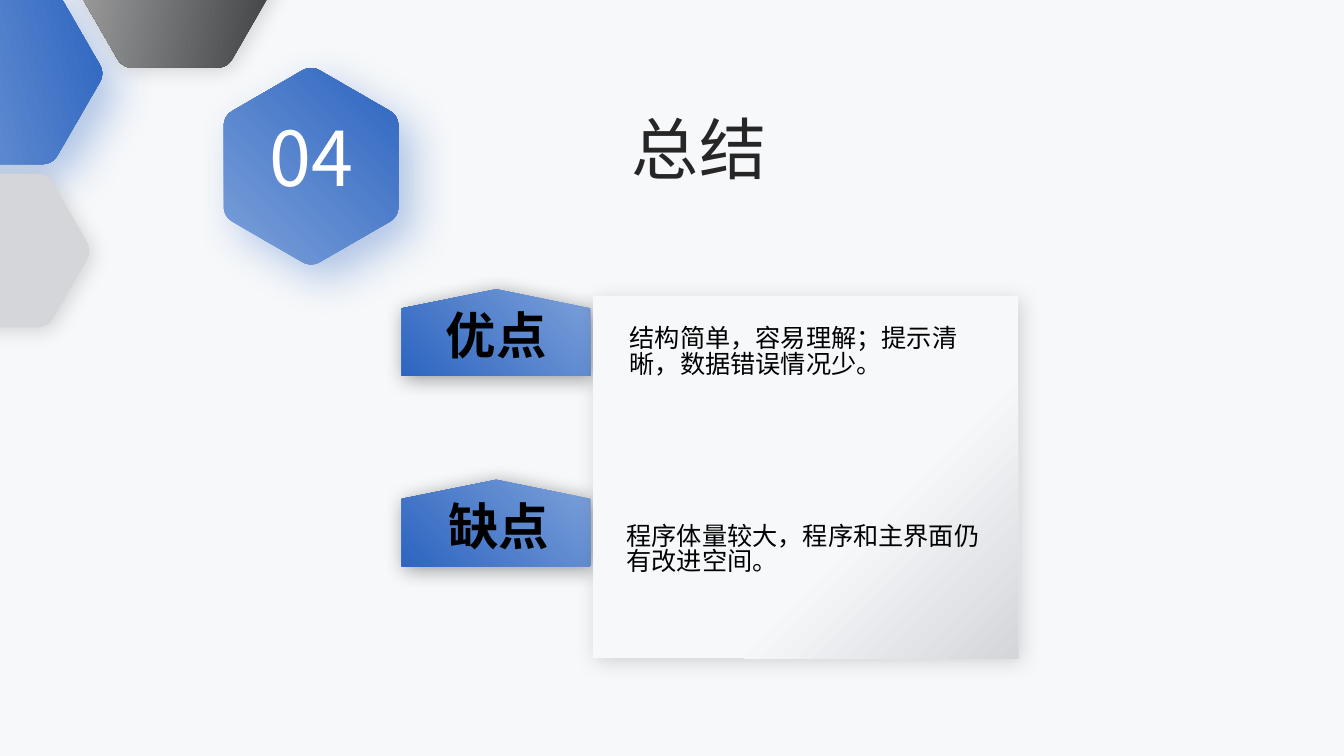
import math
from typing import NamedTuple

from lxml import etree
from pptx import Presentation
from pptx.dml.color import RGBColor
from pptx.enum.shapes import MSO_SHAPE
from pptx.enum.text import MSO_ANCHOR, MSO_AUTO_SIZE, PP_ALIGN
from pptx.oxml.ns import qn
from pptx.util import Cm, Pt

RECTANGLE = MSO_SHAPE.RECTANGLE
TOP = MSO_ANCHOR.TOP
NO_AUTOFIT = MSO_AUTO_SIZE.NONE
LEFT, CENTER = PP_ALIGN.LEFT, PP_ALIGN.CENTER

HEADING_FONT = "Noto Sans CJK SC"
BODY_FONT = "Noto Sans CJK JP"
PAPER, SILVER = "F6F8FA", "D5D6DA"
LIGHT_BLUE, BLUE = "7DA1DA", "2D65C0"
CORNER_CUT = 0.26  # cm trimmed from each side of a hexagon corner
CORNER_STEPS = 6
LINE_SPACING = 0.84


class Gradient(NamedTuple):
    start: str
    end: str
    clockwise: int
    start_at: float = 0.0


class Shadow(NamedTuple):
    color: str
    alpha: int
    blur: int
    distance: int


class Hexagon(NamedTuple):
    x: float
    y: float
    radius: float
    turn: int
    fill: Gradient | str
    shadow: Shadow


class Topic(NamedTuple):
    label: str
    tag_top: float
    label_box: tuple[float, float, float, float]
    detail: str
    detail_box: tuple[float, float, float, float]


SOFT = Shadow("000000", 15, 15, 3)
STRONG = Shadow("000000", 40, 15, 3)
GLOW = Shadow(BLUE, 35, 30, 15)

HEXAGONS = [
    Hexagon(0, 1.85, 2.64, 0, Gradient(LIGHT_BLUE, BLUE, 345), GLOW),
    Hexagon(0.09, 6.32, 2.23, 0, SILVER, SOFT),
    Hexagon(4.41, -0.58, 2.64, 0, Gradient("3D3F41", "A5A5A5", 190), SOFT),
    Hexagon(7.84, 4.19, 2.54, 30, Gradient(LIGHT_BLUE, BLUE, 315), GLOW),
]
TOPICS = [
    Topic("优点", 7.29, (10.62, 7.7, 3.78, 1.8),
          "结构简单，容易理解；提示清晰，数据错误情况少。", (15.62, 8.08, 9.37, 1.8)),
    Topic("缺点", 12.09, (10.92, 12.5, 3.3, 1.8),
          "程序体量较大，程序和主界面仍有改进空间。", (15.54, 13.06, 9.5, 1.8)),
]
TAG_LEFT, TAG_WIDTH, TAG_HEIGHT, TAG_SHOULDER = 10.13, 4.75, 2.18, 0.48


def rgb(color: str) -> RGBColor:
    return RGBColor.from_string(color)


def style(shape, fill: Gradient | str, shadow: Shadow) -> None:
    if isinstance(fill, Gradient):
        shape.fill.gradient()
        shape.fill.gradient_angle = (360 - fill.clockwise) % 360
        first, last = shape.fill.gradient_stops
        first.color.rgb, first.position = rgb(fill.start), fill.start_at
        last.color.rgb, last.position = rgb(fill.end), 1.0
    else:
        shape.fill.solid()
        shape.fill.fore_color.rgb = rgb(fill)
    shape.line.fill.background()
    shape.shadow.inherit = False
    effects = shape._element.spPr.find(qn("a:effectLst"))
    outer = etree.SubElement(
        effects, qn("a:outerShdw"), blurRad=str(Pt(shadow.blur)),
        dist=str(Pt(shadow.distance)), dir=str(45 * 60000),
        algn="tl", rotWithShape="0")
    color = etree.SubElement(outer, qn("a:srgbClr"), val=shadow.color)
    etree.SubElement(color, qn("a:alpha"), val=str(shadow.alpha * 1000))


def add_outline(slide, points: list[tuple[float, float]],
                fill: Gradient | str, shadow: Shadow) -> None:
    corners = [(Cm(x), Cm(y)) for x, y in points]
    builder = slide.shapes.build_freeform(*corners[0])
    builder.add_line_segments(corners[1:], close=True)
    style(builder.convert_to_shape(), fill, shadow)


def rounded_hexagon(hexagon: Hexagon) -> list[tuple[float, float]]:
    angles = [math.radians(hexagon.turn + 60 * i) for i in range(6)]
    corners = [(hexagon.x + hexagon.radius * math.cos(a),
                hexagon.y + hexagon.radius * math.sin(a)) for a in angles]
    cut = CORNER_CUT / hexagon.radius  # side length equals the radius
    points = []
    for i, corner in enumerate(corners):
        before, after = corners[i - 1], corners[(i + 1) % 6]
        for step in range(CORNER_STEPS + 1):
            t = step / CORNER_STEPS
            back, ahead = cut * (1 - t) ** 2, cut * t ** 2
            x, y = (c + back * (b - c) + ahead * (a - c)
                    for b, c, a in zip(before, corner, after))
            points.append((x, y))
    return points


def write_text(shape, text: str, *, size: int, font: str, color: str = "000000",
               bold: bool = False, align: PP_ALIGN = LEFT) -> None:
    frame = shape.text_frame
    frame.word_wrap = True
    frame.auto_size = NO_AUTOFIT
    frame.vertical_anchor = TOP
    frame.margin_top = Cm(0.13) + Pt(0.07 * size)
    paragraph = frame.paragraphs[0]
    paragraph.alignment = align
    paragraph.line_spacing = LINE_SPACING
    run = paragraph.add_run()
    run.text = text
    run.font.size = Pt(size)
    run.font.name = font
    run.font.bold = bold
    run.font.color.rgb = rgb(color)
    etree.SubElement(run.font._element, qn("a:ea"), typeface=font)


def add_text(slide, box: tuple[float, float, float, float], text: str,
             **text_format) -> None:
    write_text(slide.shapes.add_textbox(*map(Cm, box)), text, **text_format)


def main() -> None:
    prs = Presentation()
    prs.slide_width, prs.slide_height = Cm(33.87), Cm(19.05)
    slide = prs.slides.add_slide(prs.slide_layouts[5])
    slide.background.fill.solid()
    slide.background.fill.fore_color.rgb = rgb(PAPER)

    # Heading with its numbered hexagon and the corner decoration
    title = slide.shapes.title
    title.left, title.top, title.width, title.height = map(
        Cm, (10.19, 2.79, 14.86, 4.37))
    write_text(title, "总结", size=48, font=HEADING_FONT, color="262626",
               align=CENTER)
    for hexagon in HEXAGONS:
        add_outline(slide, rounded_hexagon(hexagon), hexagon.fill,
                    hexagon.shadow)
    add_text(slide, (5.82, 2.9, 4.06, 2.57), "04", size=54, font=HEADING_FONT,
             color="FFFFFF", align=CENTER)

    # Tags with a peaked top edge
    right = TAG_LEFT + TAG_WIDTH
    for topic in TOPICS:
        shoulder = topic.tag_top + TAG_SHOULDER
        bottom = topic.tag_top + TAG_HEIGHT
        peak = (TAG_LEFT + TAG_WIDTH / 2, topic.tag_top)
        add_outline(slide, [peak, (right, shoulder), (right, bottom),
                            (TAG_LEFT, bottom), (TAG_LEFT, shoulder)],
                    Gradient(LIGHT_BLUE, BLUE, 135), STRONG)
        add_text(slide, topic.label_box, topic.label, size=36, font=BODY_FONT,
                 bold=True, align=CENTER)

    # Panel with the details
    panel = slide.shapes.add_shape(
        RECTANGLE, *map(Cm, (14.94, 7.47, 10.72, 9.12)))
    style(panel, Gradient(PAPER, SILVER, 45, start_at=0.63), SOFT)
    for topic in TOPICS:
        add_text(slide, topic.detail_box, topic.detail, size=18, font=BODY_FONT)

    prs.save("out.pptx")


if __name__ == "__main__":
    main()
